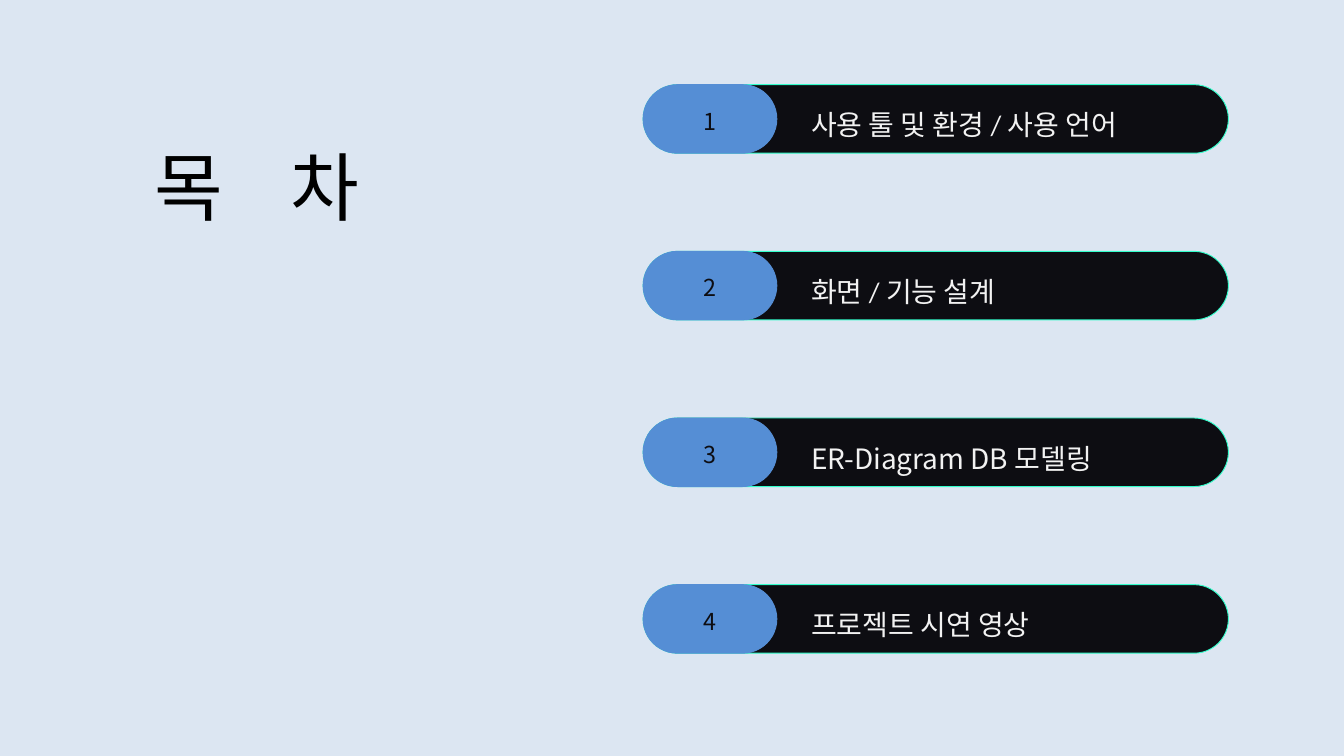
from pptx import Presentation
from pptx.dml.color import RGBColor
from pptx.enum.shapes import MSO_SHAPE
from pptx.enum.text import MSO_ANCHOR, MSO_AUTO_SIZE, PP_ALIGN
from pptx.util import Inches, Pt

# Content: the title's two parts, then (label, font) for each row
HEAD = ("목 ", "차")
ROWS = [
    ("사용 툴 및 환경 / 사용 언어", "Calibri"),
    ("화면 / 기능 설계", "Calibri"),
    ("ER-Diagram DB 모델링", "Noto Sans CJK KR"),
    ("프로젝트 시연 영상", "Calibri"),
]

THEME = {
    "back": "DCE6F2", "bar": "0D0D12", "rim": "33FFCC", "tab": "558ED5",
    "label": "F2F2F2", "num": "0D0D12", "title": "000000",
    "main": "Calibri", "digit": "Noto Sans CJK KR",
    "title_size": 80, "label_size": 30, "num_size": 25,
}

# Grid of rows, in inches
LEFT, TOP, STEP, HIGH = 9.57, 1.26, 2.48, 1.02
BAR_W, TAB_W = 8.71, 1.99
NUM_W, LABEL_X, LABEL_W = 0.36, 12.07, 5.7


def tint(name):
    return RGBColor.from_string(THEME[name])


def style(shape, role, font, lead, align=PP_ALIGN.LEFT):
    frame = shape.text_frame
    frame.margin_left = frame.margin_right = 0
    frame.margin_top = frame.margin_bottom = 0
    frame.word_wrap = True
    frame.auto_size = MSO_AUTO_SIZE.NONE
    frame.vertical_anchor = MSO_ANCHOR.TOP
    para = frame.paragraphs[0]
    para.alignment = align
    para.line_spacing = Pt(lead)
    para.space_before = Pt(0)
    para.font.name = font
    para.font.size = Pt(THEME[role + "_size"])
    para.font.color.rgb = tint(role)


def pill(slide, top, width, fill, rim):
    shape = slide.shapes.add_shape(
        MSO_SHAPE.ROUNDED_RECTANGLE,
        Inches(LEFT), Inches(top), Inches(width), Inches(HIGH))
    shape.adjustments[0] = 0.5
    shape.shadow.inherit = False
    shape.fill.solid()
    shape.fill.fore_color.rgb = tint(fill)
    shape.line.color.rgb = tint(rim)
    shape.line.width = Pt(1)


def write(slide, text, left, top, width, high):
    box = slide.shapes.add_textbox(
        Inches(left), Inches(top), Inches(width), Inches(high))
    box.text_frame.text = text
    return box


def main():
    deck = Presentation()
    deck.slide_width, deck.slide_height = Inches(20), Inches(11.25)
    slide = deck.slides.add_slide(deck.slide_layouts[5])
    slide.background.fill.solid()
    slide.background.fill.fore_color.rgb = tint("back")

    # Title, its first part letterspaced to open the gap
    title = slide.shapes.title
    title.left, title.top = Inches(2.3), Inches(2.1)
    title.width, title.height = Inches(4.66), Inches(1.35)
    para = title.text_frame.paragraphs[0]
    for part in HEAD:
        para.add_run().text = part
    para.runs[0].font._element.set("spc", "2700")
    style(title, "title", THEME["main"], 96)

    # Numbered rows
    for i, (text, font) in enumerate(ROWS):
        top = TOP + i * STEP
        pill(slide, top, BAR_W, "bar", "rim")
        pill(slide, top, TAB_W, "tab", "tab")
        num_x = LEFT + (TAB_W - NUM_W) / 2
        num = write(slide, str(i + 1), num_x, top + 0.26, NUM_W, 0.45)
        style(num, "num", THEME["digit"], 35, PP_ALIGN.CENTER)
        label = write(slide, text, LABEL_X, top + 0.26, LABEL_W, 0.56)
        style(label, "label", font, 42)

    deck.save("out.pptx")


if __name__ == "__main__":
    main()
